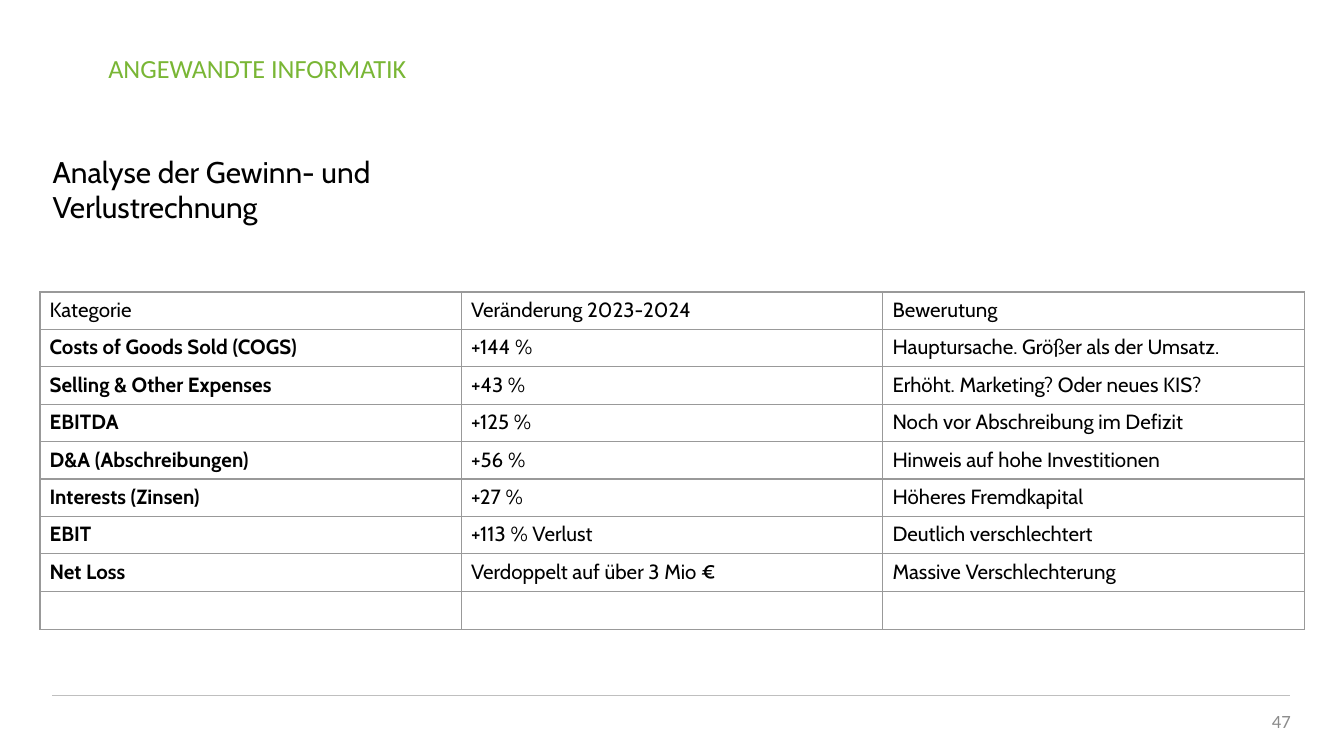
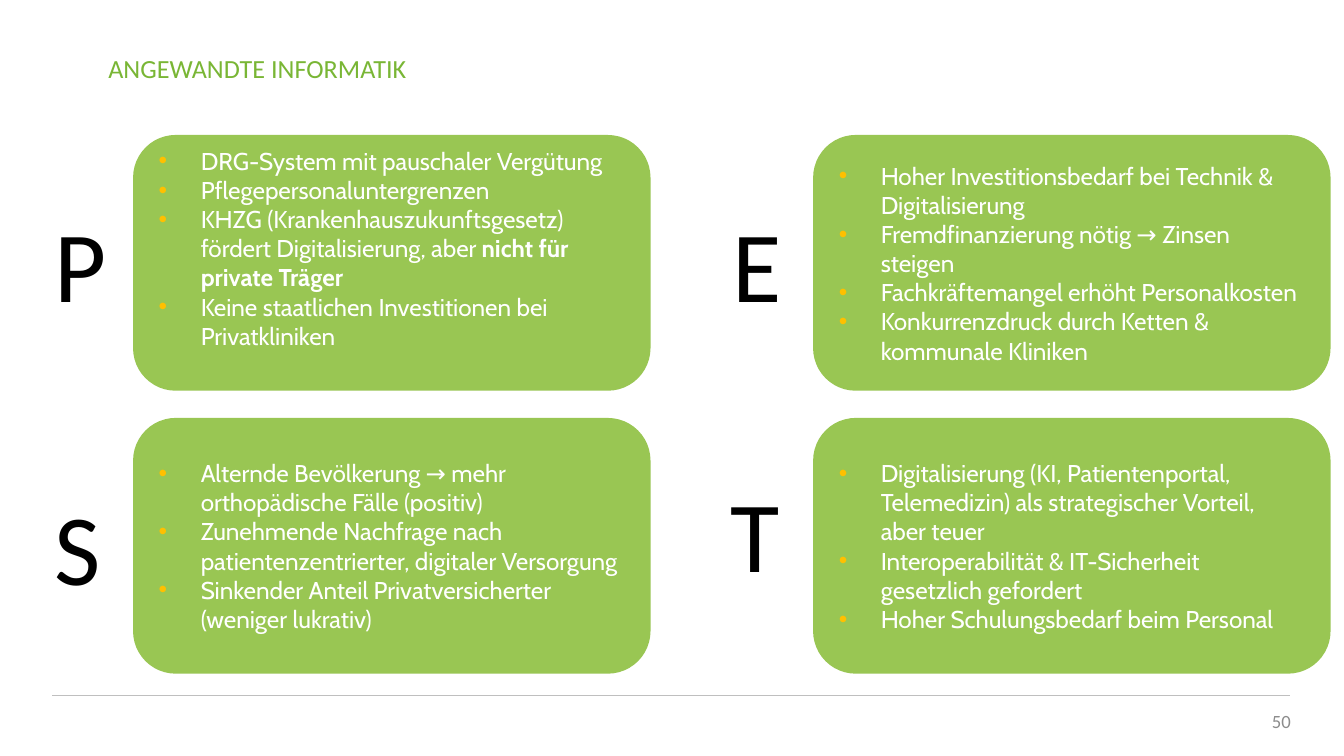
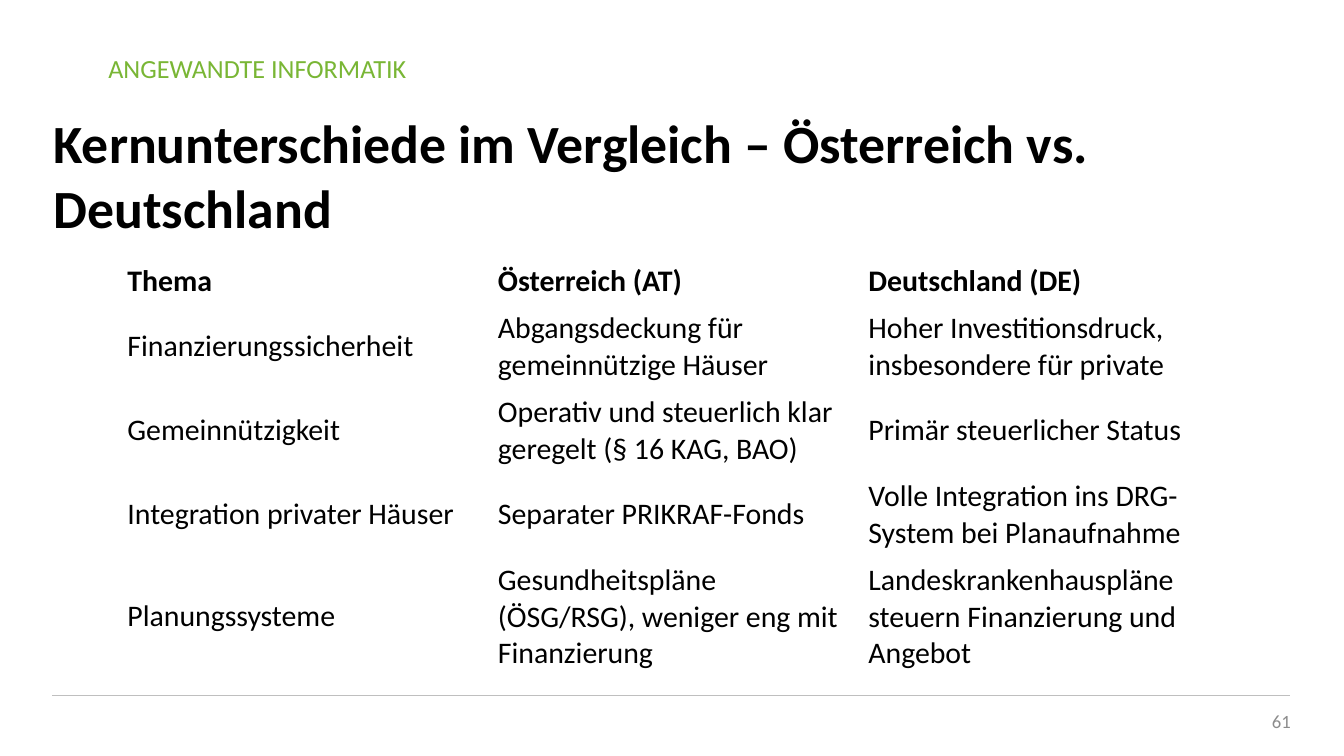
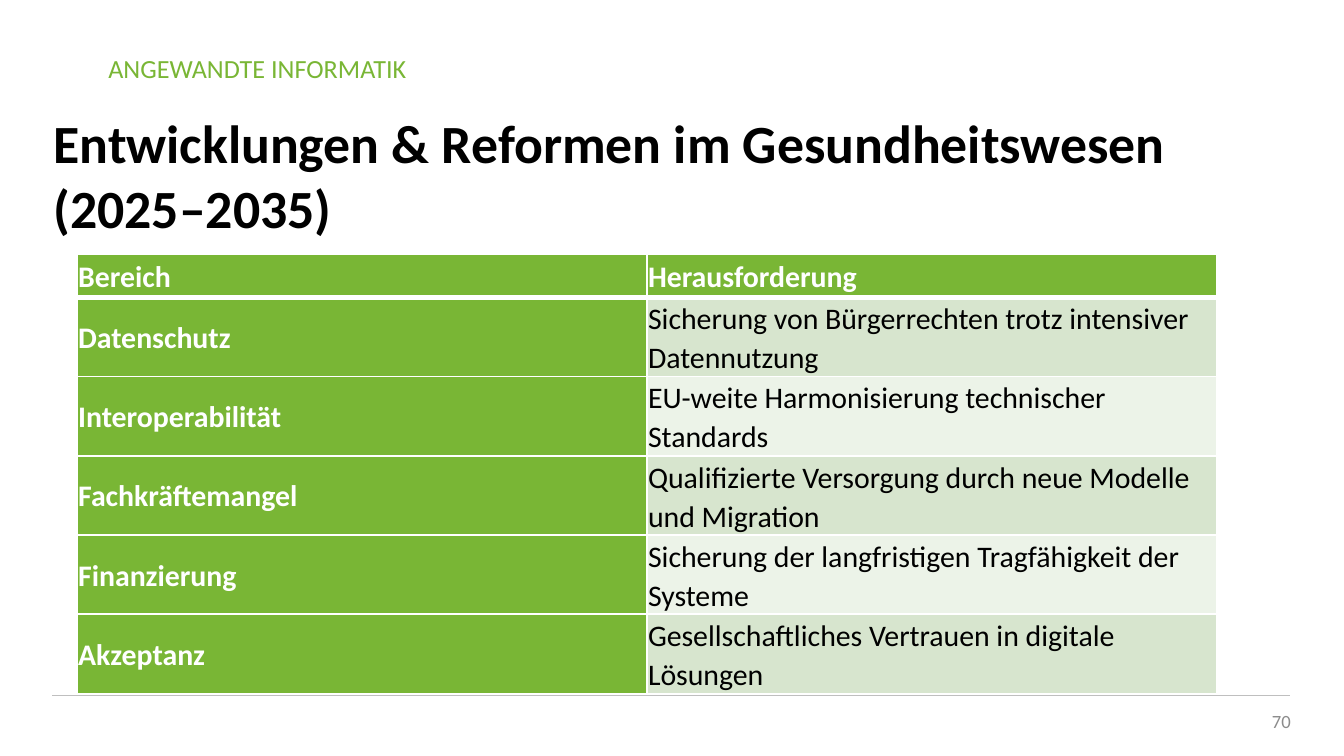
from lxml import etree
from pptx import Presentation
from pptx.dml.color import RGBColor
from pptx.enum.shapes import MSO_CONNECTOR, MSO_SHAPE
from pptx.enum.text import MSO_ANCHOR, MSO_AUTO_SIZE, PP_ALIGN
from pptx.oxml.ns import qn
from pptx.util import Pt

STRAIGHT = MSO_CONNECTOR.STRAIGHT
ROUNDED = MSO_SHAPE.ROUNDED_RECTANGLE
TOP, MIDDLE, BOTTOM = MSO_ANCHOR.TOP, MSO_ANCHOR.MIDDLE, MSO_ANCHOR.BOTTOM
LEFT, RIGHT = PP_ALIGN.LEFT, PP_ALIGN.RIGHT
FIT_SHAPE, NO_FIT = MSO_AUTO_SIZE.SHAPE_TO_FIT_TEXT, MSO_AUTO_SIZE.NONE

BLACK = RGBColor(0x00, 0x00, 0x00)
WHITE = RGBColor(0xFF, 0xFF, 0xFF)
GREEN = RGBColor(0x79, 0xB6, 0x35)
CARD_GREEN = RGBColor(0x99, 0xC6, 0x53)
BAND_DARK = RGBColor(0xD7, 0xE5, 0xCE)
BAND_LIGHT = RGBColor(0xEC, 0xF3, 0xE8)
AMBER = RGBColor(0xFF, 0xC0, 0x00)
RULE_GRAY = RGBColor(0xBF, 0xBF, 0xBF)
GRID_GRAY = RGBColor(0x99, 0x99, 0x99)
NUMBER_GRAY = RGBColor(0x8C, 0x8C, 0x8C)

CALIBRI, CABIN = "Calibri", "Cabin"
TITLE_ONLY, BLANK = 5, 6
NO_TABLE_STYLE = "{2D5ABB26-0587-4C30-8999-92F81FD0307C}"
BULLET_INDENT = 22.5
LINE_HEIGHT = 15.8

PROFIT_AND_LOSS = [
    ("Kategorie", "Veränderung 2023-2024", "Bewerutung"),
    ("Costs of Goods Sold (COGS)", "+144 %", "Hauptursache. Größer als der Umsatz."),
    ("Selling & Other Expenses", "+43 %", "Erhöht. Marketing? Oder neues KIS?"),
    ("EBITDA", "+125 %", "Noch vor Abschreibung im Defizit"),
    ("D&A (Abschreibungen)", "+56 %", "Hinweis auf hohe Investitionen"),
    ("Interests (Zinsen)", "+27 %", "Höheres Fremdkapital"),
    ("EBIT", "+113 % Verlust", "Deutlich verschlechtert"),
    ("Net Loss", "Verdoppelt auf über 3 Mio €", "Massive Verschlechterung"),
    ("", "", ""),
]

POLITICAL = [
    "DRG-System mit pauschaler Vergütung",
    "Pflegepersonaluntergrenzen",
    [("KHZG (Krankenhauszukunftsgesetz) fördert Digitalisierung, aber ", False),
     ("nicht für private Träger", True)],
    "Keine staatlichen Investitionen bei Privatkliniken",
]
ECONOMIC = [
    "Hoher Investitionsbedarf bei Technik & Digitalisierung",
    "Fremdfinanzierung nötig → Zinsen steigen",
    "Fachkräftemangel erhöht Personalkosten",
    "Konkurrenzdruck durch Ketten & kommunale Kliniken",
]
SOCIAL = [
    "Alternde Bevölkerung → mehr orthopädische Fälle (positiv)",
    "Zunehmende Nachfrage nach patientenzentrierter, digitaler Versorgung",
    "Sinkender Anteil Privatversicherter (weniger lukrativ)",
]
TECHNOLOGICAL = [
    "Digitalisierung (KI, Patientenportal, Telemedizin) als strategischer Vorteil, aber teuer",
    "Interoperabilität & IT-Sicherheit gesetzlich gefordert",
    "Hoher Schulungsbedarf beim Personal",
]

COUNTRY_COMPARISON = [
    ("Thema", "Österreich (AT)", "Deutschland (DE)"),
    ("Finanzierungssicherheit", "Abgangsdeckung für gemeinnützige Häuser",
     "Hoher Investitionsdruck, insbesondere für private"),
    ("Gemeinnützigkeit", "Operativ und steuerlich klar geregelt (§ 16 KAG, BAO)",
     "Primär steuerlicher Status"),
    ("Integration privater Häuser", "Separater PRIKRAF-Fonds",
     "Volle Integration ins DRG-System bei Planaufnahme"),
    ("Planungssysteme", "Gesundheitspläne (ÖSG/RSG), weniger eng mit Finanzierung",
     "Landeskrankenhauspläne steuern Finanzierung und Angebot"),
]

CHALLENGES = [
    ("Bereich", "Herausforderung"),
    ("Datenschutz", "Sicherung von Bürgerrechten trotz intensiver Datennutzung"),
    ("Interoperabilität", "EU-weite Harmonisierung technischer Standards"),
    ("Fachkräftemangel", "Qualifizierte Versorgung durch neue Modelle und Migration"),
    ("Finanzierung", "Sicherung der langfristigen Tragfähigkeit der Systeme"),
    ("Akzeptanz", "Gesellschaftliches Vertrauen in digitale Lösungen"),
]


def add_bullet(paragraph):
    properties = paragraph._p.get_or_add_pPr()
    properties.set("marL", str(Pt(BULLET_INDENT)))
    properties.set("indent", str(-Pt(BULLET_INDENT)))
    color = etree.SubElement(properties, qn("a:buClr"))
    etree.SubElement(color, qn("a:srgbClr"), val=str(AMBER))
    etree.SubElement(properties, qn("a:buFont"), typeface="Arial")
    etree.SubElement(properties, qn("a:buChar"), char="•")


def write_text(frame, text, size=16, font=CALIBRI, color=BLACK, bold=False,
               align=LEFT, bullets=False, line_spacing=None, space_after=None):
    """Fill a frame with one string, or a list of strings and (text, bold) run lists."""
    paragraphs = text if isinstance(text, list) else [text]
    for index, content in enumerate(paragraphs):
        paragraph = frame.add_paragraph() if index else frame.paragraphs[0]
        if bullets:
            add_bullet(paragraph)
        paragraph.alignment = align
        if line_spacing is not None:
            paragraph.line_spacing = line_spacing
        if space_after is not None:
            paragraph.space_after = space_after
        if not content:
            paragraph._p.get_or_add_endParaRPr().set("sz", str(size * 100))
            continue
        runs = content if isinstance(content, list) else [(content, bold)]
        for run_text, run_bold in runs:
            run = paragraph.add_run()
            run.text = run_text
            run.font.size = Pt(size)
            run.font.name = font
            run.font.bold = run_bold
            run.font.color.rgb = color


def add_text(slide, box, text, anchor=TOP, fit=FIT_SHAPE, **text_format):
    frame = slide.shapes.add_textbox(*map(Pt, box)).text_frame
    frame.word_wrap = True
    frame.auto_size = fit
    frame.vertical_anchor = anchor
    write_text(frame, text, **text_format)


def add_title(slide, text, box=(21.5, 64, 677.5, 67.7), anchor=BOTTOM,
              size=28.8, bold=True, **text_format):
    title = slide.shapes.title
    title.left, title.top, title.width, title.height = map(Pt, box)
    frame = title.text_frame
    frame.word_wrap = True
    frame.auto_size = NO_FIT
    frame.vertical_anchor = anchor
    write_text(frame, text, size=size, bold=bold, **text_format)


def add_base_slide(presentation, number, layout=TITLE_ONLY):
    """Add a slide with the header, the footer rule and the slide number."""
    slide = presentation.slides.add_slide(presentation.slide_layouts[layout])
    add_text(slide, (51, 24.3, 200, 24.3), "ANGEWANDTE INFORMATIK", size=14, color=GREEN)
    rule = slide.shapes.add_connector(STRAIGHT, Pt(28), Pt(372.7), Pt(691), Pt(372.7))
    rule.line.color.rgb = RULE_GRAY
    rule.line.width = Pt(0.5)
    etree.SubElement(rule._element.spPr, qn("a:effectLst"))
    add_text(slide, (530.6, 375.4, 168, 21.6), str(number), anchor=MIDDLE, fit=NO_FIT,
             size=10, color=NUMBER_GRAY, align=RIGHT)
    return slide


def add_plain_table(slide, left, top, column_width, row_heights, column_count):
    """Add a table that takes no look from a table style."""
    row_count = len(row_heights)
    table = slide.shapes.add_table(
        row_count, column_count, Pt(left), Pt(top),
        Pt(column_width * column_count), Pt(sum(row_heights))).table
    table.first_row = table.horz_banding = False
    table._tbl.tblPr.find(qn("a:tableStyleId")).text = NO_TABLE_STYLE
    for column in table.columns:
        column.width = Pt(column_width)
    for row, height in zip(table.rows, row_heights):
        row.height = Pt(height)
    return table


def set_borders(cell, color, width, **side_widths):
    """Draw all four borders; side_widths overrides the width of L, R, T or B."""
    properties = cell._tc.get_or_add_tcPr()
    for side in "LRTB":
        line = etree.SubElement(properties, qn(f"a:ln{side}"),
                                w=str(Pt(side_widths.get(side, width))))
        fill = etree.SubElement(line, qn("a:solidFill"))
        etree.SubElement(fill, qn("a:srgbClr"), val=str(color))


def fill_cell(cell, text, insets, anchor=MIDDLE, fill=None, **text_format):
    horizontal, vertical = map(Pt, insets)
    cell.margin_left = cell.margin_right = horizontal
    cell.margin_top = cell.margin_bottom = vertical
    cell.vertical_anchor = anchor
    if fill is None:
        cell.fill.background()
    else:
        cell.fill.solid()
        cell.fill.fore_color.rgb = fill
    write_text(cell.text_frame, text, **text_format)


def add_card(slide, left, top, bullets, bottom_inset=3.6):
    card = slide.shapes.add_shape(ROUNDED, Pt(left), Pt(top), Pt(277.2), Pt(137))
    card.shadow.inherit = False
    card.fill.solid()
    card.fill.fore_color.rgb = CARD_GREEN
    card.line.fill.background()
    frame = card.text_frame
    frame.word_wrap = True
    frame.vertical_anchor = MIDDLE
    frame.margin_bottom = Pt(bottom_inset)
    write_text(frame, bullets, size=13, font=CABIN, color=WHITE, bullets=True)


def build_profit_and_loss(presentation):
    slide = add_base_slide(presentation, 47)
    add_title(slide, "Analyse der Gewinn- und Verlustrechnung", box=(21, 78.5, 216, 46),
              anchor=TOP, size=16, font=CABIN, bold=False)
    table = add_plain_table(slide, 21.4, 156.4, 225.8, [20] * len(PROFIT_AND_LOSS), 3)
    for row, texts in enumerate(PROFIT_AND_LOSS):
        for column, text in enumerate(texts):
            cell = table.cell(row, column)
            set_borders(cell, GRID_GRAY, 0.75)
            fill_cell(cell, text, (5.2, 3.6), anchor=TOP, size=11, font=CABIN,
                      bold=row > 0 and column == 0, line_spacing=Pt(12.8))


def build_pest_analysis(presentation):
    slide = add_base_slide(presentation, 50, BLANK)
    left_card, right_card = 71.3, 435.6
    upper_card, lower_card = 72.3, 223.9
    add_card(slide, right_card, upper_card, ECONOMIC)
    add_card(slide, left_card, upper_card, POLITICAL, bottom_inset=3.6 + LINE_HEIGHT)
    add_card(slide, left_card, lower_card, SOCIAL)
    add_card(slide, right_card, lower_card, TECHNOLOGICAL)
    letters = [("P", 22.3, 104.4, 39), ("E", 385.2, 104.4, 46.8),
               ("S", 22.3, 256.3, 44.6), ("T", 384.5, 249.1, 46.8)]
    for letter, left, top, width in letters:
        add_text(slide, (left, top, width, 72.7), letter, size=54)


def build_country_comparison(presentation):
    slide = add_base_slide(presentation, 61)
    add_title(slide, "Kernunterschiede im Vergleich – Österreich vs. Deutschland")
    table = add_plain_table(slide, 61.7, 137.5, 198.5, [25.4, 45, 45, 45, 63.6], 3)
    for row, texts in enumerate(COUNTRY_COMPARISON):
        for column, text in enumerate(texts):
            fill_cell(table.cell(row, column), text, (6.6, 3.2), bold=row == 0)


def build_reforms(presentation):
    slide = add_base_slide(presentation, 70)
    add_title(slide, "Entwicklungen & Reformen im Gesundheitswesen (2025–2035)")
    table = add_plain_table(slide, 41.2, 136.3, 305.3, [23] + [37.4] * 5, 2)
    for row, texts in enumerate(CHALLENGES):
        for column, text in enumerate(texts):
            cell = table.cell(row, column)
            set_borders(cell, WHITE, 1, T=3 if row == 1 else 1, B=3 if row == 0 else 1)
            is_header = row == 0 or column == 0
            band = BAND_DARK if row % 2 else BAND_LIGHT
            fill_cell(cell, text, (0.7, 0.7), fill=GREEN if is_header else band,
                      color=WHITE if is_header else BLACK, bold=is_header,
                      line_spacing=1.07, space_after=Pt(8))


def main():
    presentation = Presentation()
    presentation.slide_width, presentation.slide_height = Pt(720), Pt(405)
    build_profit_and_loss(presentation)
    build_pest_analysis(presentation)
    build_country_comparison(presentation)
    build_reforms(presentation)
    presentation.save("out.pptx")


if __name__ == "__main__":
    main()
